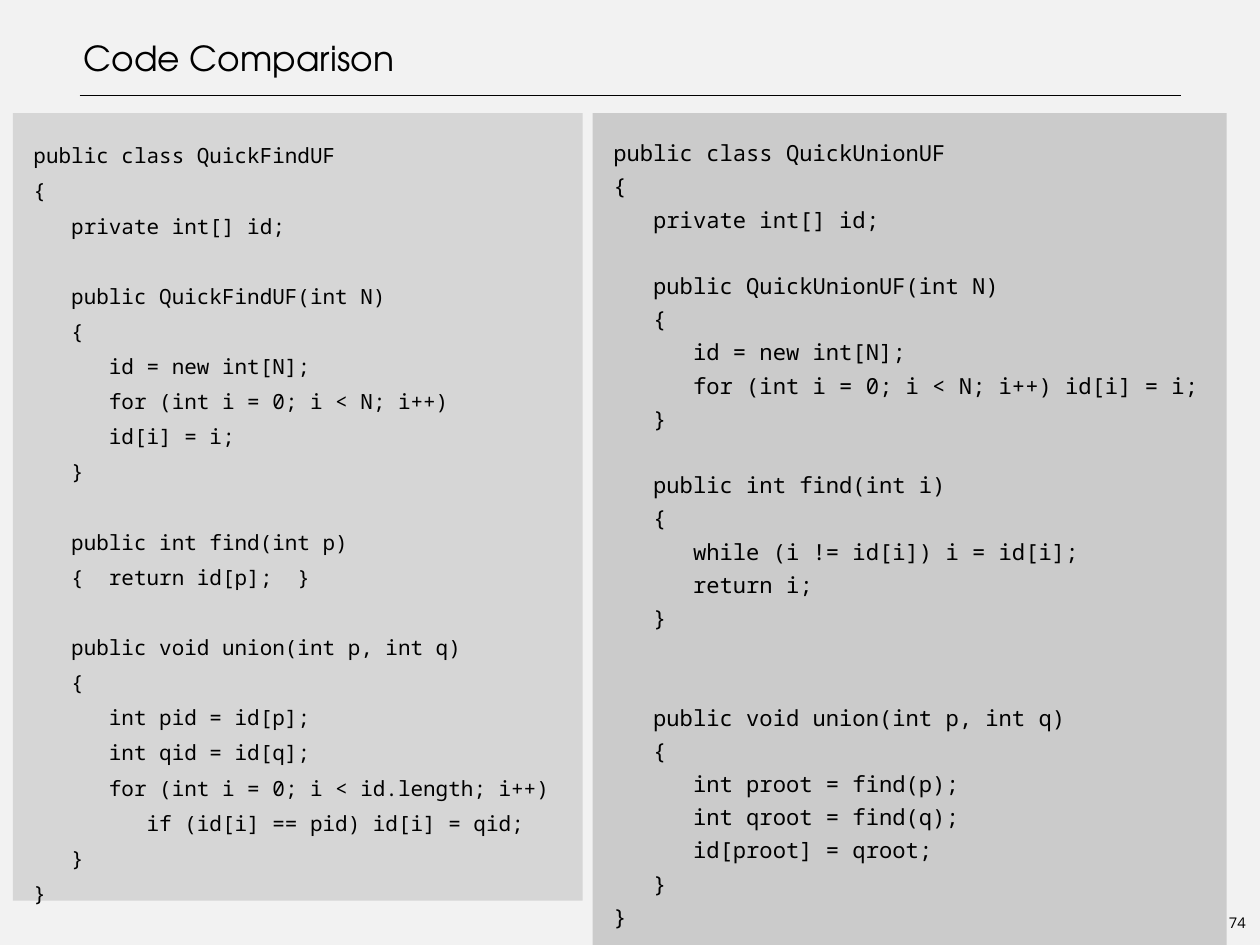
from lxml.etree import SubElement
from pptx import Presentation
from pptx.dml.color import RGBColor
from pptx.enum.shapes import MSO_CONNECTOR, MSO_SHAPE
from pptx.enum.text import MSO_ANCHOR, MSO_AUTO_SIZE, PP_ALIGN
from pptx.oxml.ns import qn
from pptx.util import Emu, Pt

COLORS = {
    "page": "F2F2F2",
    "ink": "000000",
    "find_panel": "D6D6D6",
    "union_panel": "CBCBCB",
}

QUICK_FIND = [
    "public class QuickFindUF\n{\n   private int[] id;",
    "\n   public QuickFindUF(int N)",
    "   {",
    "      id = new int[N];\n      for (int i = 0; i < N; i++)\n      id[i] = i;",
    "   }",
    "\n   public int find(int p)\n   {  return id[p];  }",
    "\n   public void union(int p, int q)\n   {\n"
    "      int pid = id[p];\n      int qid = id[q];\n"
    "      for (int i = 0; i < id.length; i++)\n"
    "         if (id[i] == pid) id[i] = qid;\n   }",
    "}",
]

QUICK_UNION = [
    "public class QuickUnionUF\n{\n   private int[] id;",
    "\n   public QuickUnionUF(int N)",
    "   {",
    "      id = new int[N];",
    "      for (int i = 0; i < N; i++) id[i] = i;",
    "   }",
    "\n   public int find(int i)\n   {",
    "      while (i != id[i]) i = id[i];\n      return i;",
    "   }",
    "\n\n   public void union(int p, int q)",
    "   {",
    "      int proot = find(p);\n      int qroot = find(q);\n      id[proot] = qroot;",
    "   }\n}",
]


def px(count):
    return Emu(count * 10160)


def color(name):
    return RGBColor.from_string(COLORS[name])


def place(box, left, top, width, height):
    box.left, box.top = px(left), px(top)
    box.width, box.height = px(width), px(height)


def set_margins(frame, left, top, right, bottom):
    frame.margin_left, frame.margin_top = px(left), px(top)
    frame.margin_right, frame.margin_bottom = px(right), px(bottom)


def style(para, font_name, size, align, spacing=1.0):
    para.alignment = align
    para.line_spacing = spacing
    para.font.name = font_name
    para.font.size = Pt(size)
    para.font.color.rgb = color("ink")


def add_title(page, text):
    title = page.shapes.title
    place(title, 80, 0, 1120, 80)
    frame = title.text_frame
    frame.text = text
    frame.auto_size = MSO_AUTO_SIZE.NONE
    frame.vertical_anchor = MSO_ANCHOR.BOTTOM
    set_margins(frame, 5, 0, 0, 0)
    style(frame.paragraphs[0], "TeX Gyre Adventor", 28, PP_ALIGN.LEFT)


def add_rule(page, left, right, top):
    rule = page.shapes.add_connector(
        MSO_CONNECTOR.STRAIGHT, px(left), px(top), px(right), px(top))
    rule.line.color.rgb = color("ink")
    rule.line.width = Pt(1)
    SubElement(rule.line._get_or_add_ln().getparent(), qn("a:effectLst"))


def add_page_number(page, number):
    box = page.shapes.add_textbox(px(1243), px(923), px(28), px(28))
    frame = box.text_frame
    frame.text = number
    frame.word_wrap = False
    frame.vertical_anchor = MSO_ANCHOR.MIDDLE
    set_margins(frame, 5, 5, 5, 5)
    style(frame.paragraphs[0], "Open Sans", 12, PP_ALIGN.CENTER)


def add_code_panel(page, left, width, height, fill, blocks, size, spacing):
    panel = page.shapes.add_shape(
        MSO_SHAPE.RECTANGLE, px(left), px(115), px(width), px(height))
    panel.shadow.inherit = False
    panel.fill.solid()
    panel.fill.fore_color.rgb = color(fill)
    panel.line.fill.background()
    frame = panel.text_frame
    frame.word_wrap = True
    frame.vertical_anchor = MSO_ANCHOR.TOP
    set_margins(frame, 21, 20, 20, 20)
    for index, block in enumerate(blocks):
        para = frame.add_paragraph() if index else frame.paragraphs[0]
        para.text = block
        style(para, "Noto Sans Mono", size, PP_ALIGN.LEFT, spacing)


def main():
    deck = Presentation()
    deck.slide_width, deck.slide_height = px(1280), px(960)
    page = deck.slides.add_slide(deck.slide_layouts[5])
    page.background.fill.solid()
    page.background.fill.fore_color.rgb = color("page")
    add_rule(page, 81, 1200, 97)
    add_title(page, "Code Comparison")
    add_page_number(page, "74")
    add_code_panel(page, 13, 579, 800, "find_panel", QUICK_FIND, 17, 1.4)
    add_code_panel(page, 602, 644, 879, "union_panel", QUICK_UNION, 18, 1.25)
    deck.save("out.pptx")


if __name__ == "__main__":
    main()
